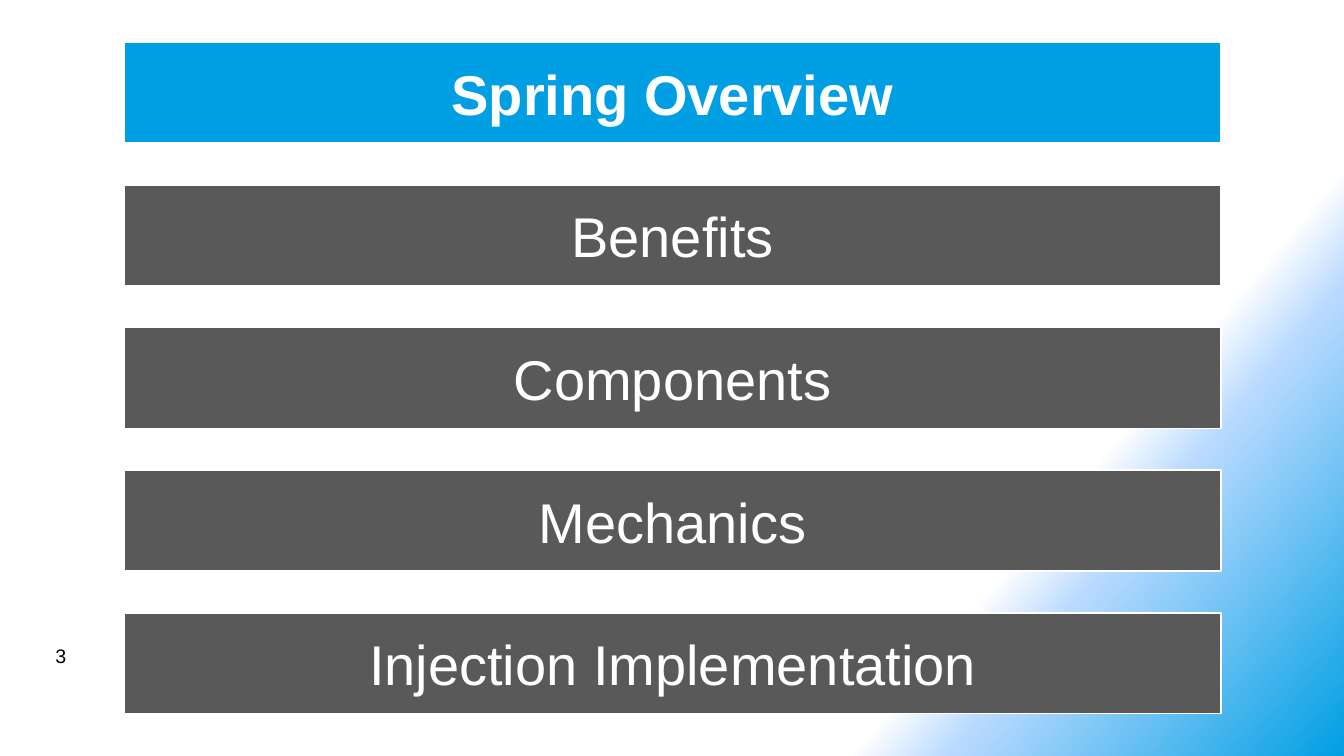
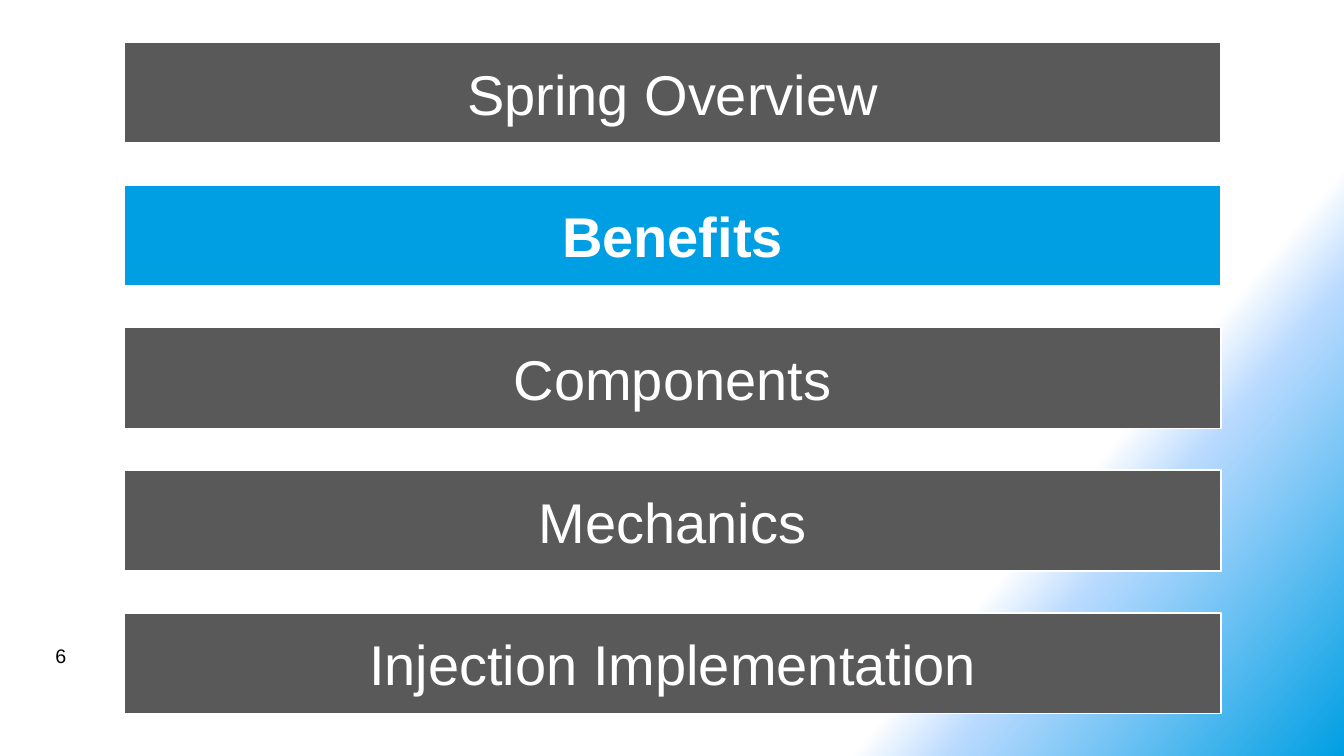
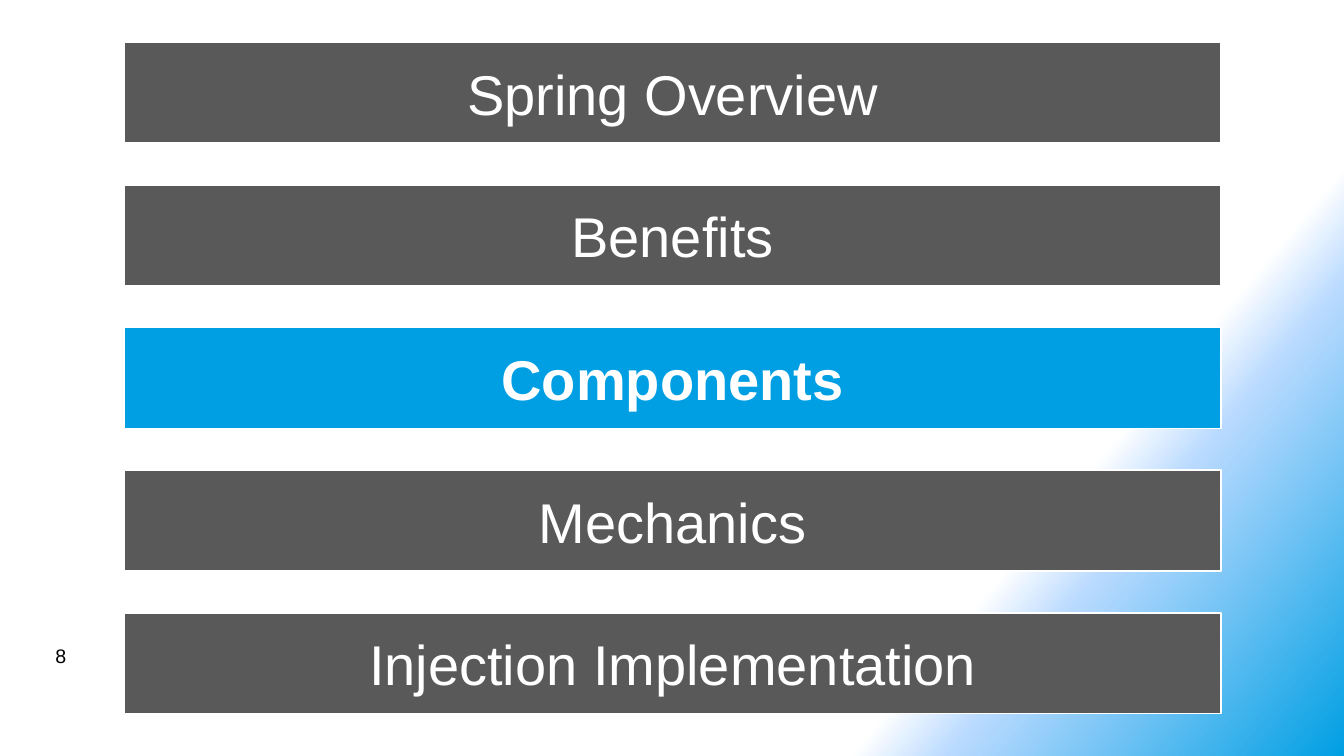
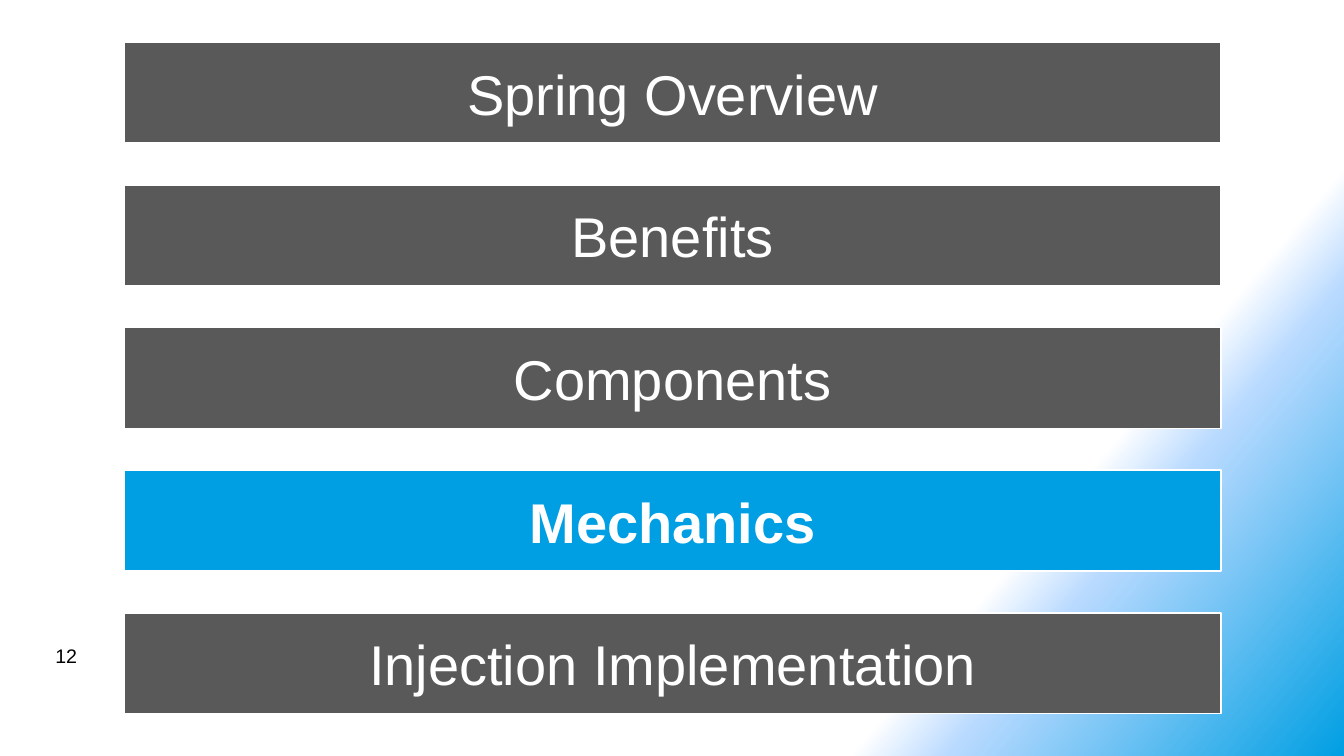
from lxml import etree
from pptx import Presentation
from pptx.dml.color import RGBColor
from pptx.enum.shapes import MSO_SHAPE
from pptx.enum.text import MSO_ANCHOR, PP_ALIGN
from pptx.oxml.ns import qn
from pptx.util import Inches, Pt

RECT = MSO_SHAPE.RECTANGLE
MIDDLE = MSO_ANCHOR.MIDDLE
LEFT, CENTER = PP_ALIGN.LEFT, PP_ALIGN.CENTER

FONT = "Arial"
WHITE, BLACK, GREY = "FFFFFF", "000000", "595959"
BLUE, PALE = "009FE3", "B9DAFF"
STOPS = [(75, WHITE, 100), (80, PALE, 50), (100, BLUE, 100)]  # percent, colour, opacity

TOPICS = ["Spring Overview", "Benefits", "Components", "Mechanics",
          "Injection Implementation"]
PAGES = [(3, "Spring Overview"), (6, "Benefits"), (8, "Components"), (12, "Mechanics")]

LIST_BOX = (1.23, 0.42, 10.88, 6.66)
PAGE_BOX = (0.45, 6.34, 3.11, 0.33)
BAR_HEIGHT = 1


def color(code):
    return RGBColor.from_string(code)


def set_backdrop(master):
    """Give every slide the diagonal white-to-blue gradient."""
    fill = master.background.fill
    fill.gradient()
    fill.gradient_angle = 320
    stops = master.element.find(".//" + qn("a:gsLst"))
    for stop in list(stops):
        stops.remove(stop)
    for pos, code, alpha in STOPS:
        stop = etree.SubElement(stops, qn("a:gs"), pos=str(pos * 1000))
        tint = etree.SubElement(stop, qn("a:srgbClr"), val=code)
        if alpha < 100:
            etree.SubElement(tint, qn("a:alpha"), val=str(alpha * 1000))


def write(shape, text, size, code, align, bold=False):
    frame = shape.text_frame
    frame.word_wrap = True
    para = frame.paragraphs[0]
    para.text = text
    para.alignment = align
    font = para.font
    font.name, font.size, font.bold = FONT, Pt(size), bold
    font.color.rgb = color(code)


def add_bar(slide, box, text, active):
    bar = slide.shapes.add_shape(RECT, *map(Inches, box))
    bar.shadow.inherit = False
    bar.fill.solid()
    bar.fill.fore_color.rgb = color(BLUE if active else GREY)
    bar.line.color.rgb = color(WHITE)
    bar.line.width = Pt(1)
    bar.text_frame.vertical_anchor = MIDDLE
    write(bar, text, 40, WHITE, CENTER, active)


def add_topics(slide, box, current):
    """Spread the topic bars evenly over the box and light up the current one."""
    left, top, width, height = box
    step = (height - BAR_HEIGHT) / (len(TOPICS) - 1)
    for row, topic in enumerate(TOPICS):
        add_bar(slide, (left, top + row * step, width, BAR_HEIGHT),
                topic, topic == current)


def add_number(slide, box, number):
    label = slide.shapes.add_textbox(*map(Inches, box))
    write(label, str(number), 14, BLACK, LEFT)


def main():
    prs = Presentation()
    prs.slide_width, prs.slide_height = Inches(13.33), Inches(7.5)
    set_backdrop(prs.slide_master)
    blank = prs.slide_layouts[6]
    for number, topic in PAGES:
        slide = prs.slides.add_slide(blank)
        add_topics(slide, LIST_BOX, topic)
        add_number(slide, PAGE_BOX, number)
    prs.save("out.pptx")


if __name__ == "__main__":
    main()
